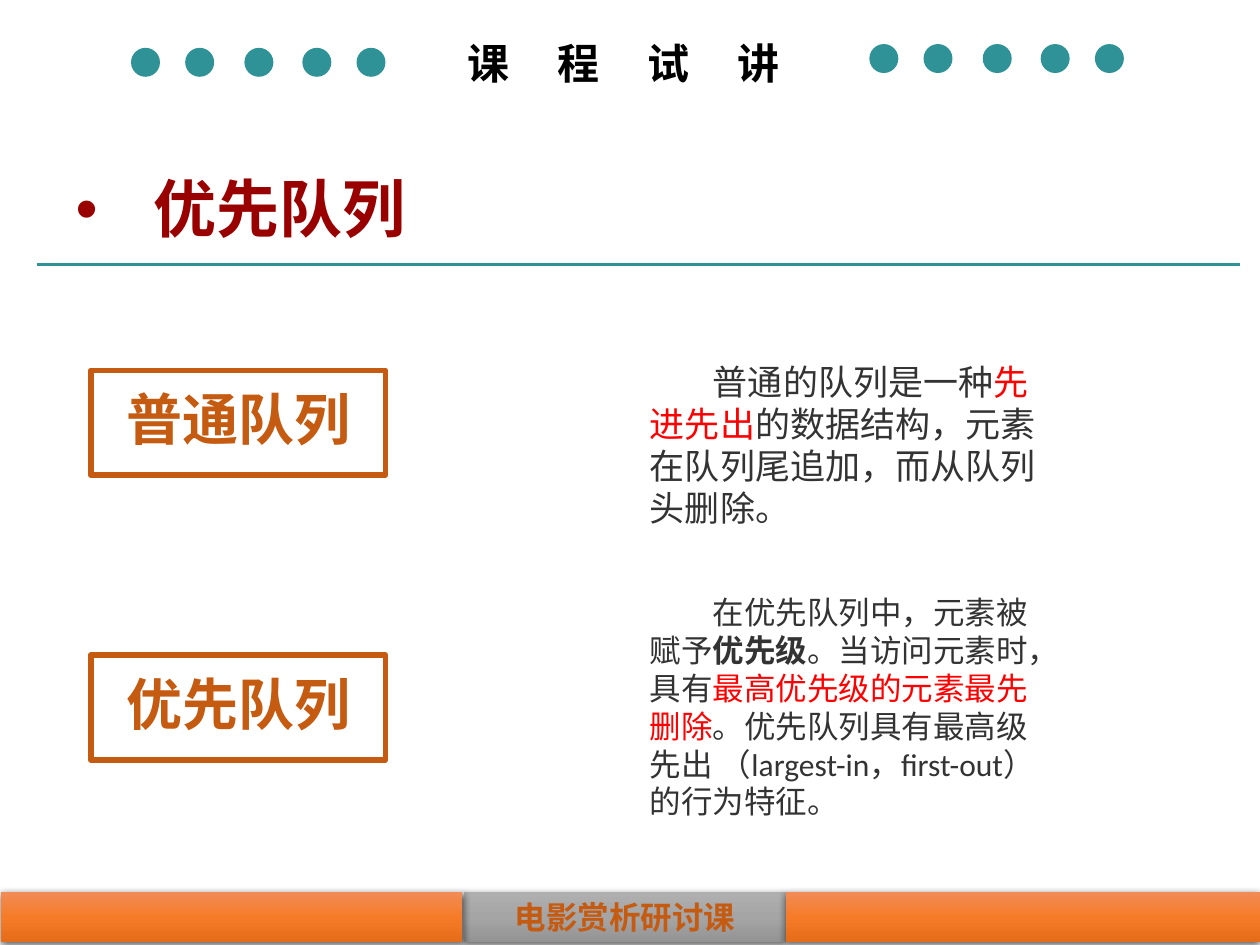
from copy import deepcopy

from lxml import etree
from pptx import Presentation
from pptx import oxml
from pptx.dml.color import RGBColor
from pptx.enum import shapes, text
from pptx.oxml import ns
from pptx.util import Inches, Pt

TEAL = RGBColor(0x2F, 0x92, 0x96)
DARK_RED = RGBColor(0x99, 0x00, 0x00)
RED = RGBColor(0xFF, 0x00, 0x00)
RUST = RGBColor(0xC5, 0x5A, 0x11)
BLACK = RGBColor(0x00, 0x00, 0x00)
INK = RGBColor(0x33, 0x33, 0x33)
GREYS = [RGBColor(0xAF, 0xAF, 0xAF), RGBColor(0xA5, 0xA5, 0xA5), RGBColor(0x93, 0x93, 0x93)]
ORANGES = [RGBColor(0xF1, 0x8C, 0x57), RGBColor(0xF6, 0x7B, 0x28), RGBColor(0xE5, 0x6C, 0x19)]
LATIN = "Calibri"
CHINESE = "Noto Sans CJK SC"
DOT_OFFSETS = (0, 0.43, 0.9, 1.36, 1.79)
SHADOW = (
    '<a:outerShdw %s blurRad="57150" dist="19050" dir="5400000" algn="ctr" rotWithShape="0">'
    '<a:srgbClr val="000000"><a:alpha val="63000"/></a:srgbClr></a:outerShdw>' % ns.nsdecls("a")
)


def add_run(paragraph, words, size, color, bold=False, font=LATIN):
    """Add one formatted run to a paragraph and return it."""
    run = paragraph.add_run()
    run.text = words
    run.font.size = Pt(size)
    run.font.bold = bold
    run.font.name = font
    run.font.color.rgb = color
    east_asian = etree.SubElement(run.font._element, ns.qn("a:ea"))
    east_asian.set("typeface", CHINESE)
    return run


def add_plain_shape(parent, kind, left, top, width, height):
    """Add a preset shape without line or inherited shadow."""
    shape = parent.add_shape(kind, Inches(left), Inches(top), Inches(width), Inches(height))
    shape.shadow.inherit = False
    shape.line.fill.background()
    return shape


def add_text_box(parent, left, top, width, height):
    """Add a wrapping text box and return its first paragraph."""
    box = parent.add_textbox(Inches(left), Inches(top), Inches(width), Inches(height))
    box.text_frame.word_wrap = True
    return box.text_frame.paragraphs[0]


def add_title(slide, left, top, width, height):
    """Place the bulleted title and the rule beneath it."""
    title = slide.shapes.title
    title.left, title.top = Inches(left), Inches(top)
    title.width, title.height = Inches(width), Inches(height)
    title.text_frame.auto_size = text.MSO_AUTO_SIZE.NONE
    title.text_frame.vertical_anchor = text.MSO_ANCHOR.MIDDLE
    paragraph = title.text_frame.paragraphs[0]
    paragraph.alignment = text.PP_ALIGN.LEFT
    paragraph.line_spacing = 0.9
    add_run(paragraph, "优先队列", 36, DARK_RED, True)
    properties = paragraph._p.get_or_add_pPr()
    properties.set("marL", str(Inches(0.62)))
    properties.set("indent", str(Inches(-0.62)))
    etree.SubElement(properties, ns.qn("a:buFont")).set("typeface", "Arial")
    etree.SubElement(properties, ns.qn("a:buChar")).set("char", "•")
    bottom = Inches(top + height)
    rule = slide.shapes.add_connector(
        shapes.MSO_CONNECTOR.STRAIGHT, Inches(left - 0.21), bottom, Inches(left + 9.34), bottom
    )
    rule.line.color.rgb = TEAL
    rule.line.width = Pt(2)
    etree.SubElement(rule._element.spPr, ns.qn("a:effectLst"))


def add_header(slide, left, top):
    """Place the spaced heading between two rows of dots."""
    group = slide.shapes.add_group_shape()
    for row_left, row_top in ((left, top + 0.13), (left + 5.86, top + 0.1)):
        for offset in DOT_OFFSETS:
            dot = add_plain_shape(
                group.shapes, shapes.MSO_SHAPE.OVAL, row_left + offset, row_top, 0.23, 0.23
            )
            dot.fill.solid()
            dot.fill.fore_color.rgb = TEAL
    paragraph = add_text_box(group.shapes, left + 1.77, top, 4.28, 0.5)
    paragraph.alignment = text.PP_ALIGN.CENTER
    spaced = add_run(paragraph, "课程试", 24, BLACK, True, CHINESE)
    spaced.font._element.set("spc", "2740")
    add_run(paragraph, "讲", 24, BLACK, True, CHINESE)


def add_bar(group, left, top, width, height, colors):
    """Add one shaded footer segment with a soft shadow."""
    bar = add_plain_shape(group.shapes, shapes.MSO_SHAPE.RECTANGLE, left, top, width, height)
    bar.fill.gradient()
    bar.fill.gradient_angle = 270
    stops = bar._element.spPr.find(".//" + ns.qn("a:gsLst"))
    stops.insert(1, deepcopy(stops[0]))
    for stop, position, color in zip(bar.fill.gradient_stops, (0, 0.5, 1), colors):
        stop.position = position
        stop.color.rgb = color
    bar._element.spPr.find(ns.qn("a:effectLst")).append(oxml.parse_xml(SHADOW))
    return bar


def add_footer(slide, left, top, height):
    """Place the three-part footer with its course name."""
    group = slide.shapes.add_group_shape()
    middle = add_bar(group, left + 3.67, top, 2.56, height, GREYS)
    add_bar(group, left + 6.23, top, 3.76, height, ORANGES)
    add_bar(group, left, top, 3.66, height, ORANGES)
    middle.text_frame.vertical_anchor = text.MSO_ANCHOR.TOP
    paragraph = middle.text_frame.paragraphs[0]
    paragraph.alignment = text.PP_ALIGN.CENTER
    add_run(paragraph, "电影赏析研讨课", 18, RUST, True, CHINESE)


def add_label(slide, left, top, words):
    """Place an outlined queue name."""
    label = add_plain_shape(slide.shapes, shapes.MSO_SHAPE.RECTANGLE, left, top, 2.34, 0.83)
    label.fill.background()
    label.line.color.rgb = RUST
    label.line.width = Pt(3.25)
    label.text_frame.vertical_anchor = text.MSO_ANCHOR.MIDDLE
    paragraph = label.text_frame.paragraphs[0]
    paragraph.alignment = text.PP_ALIGN.CENTER
    paragraph.line_spacing = 0.9
    add_run(paragraph, words, 32, RUST, True, CHINESE)


def add_description(slide, left, top, height, size, parts):
    """Place a paragraph with an indented first line."""
    paragraph = add_text_box(slide.shapes, left, top, 3.42, height)
    paragraph._p.get_or_add_pPr().set("indent", str(Inches(0.5)))
    for words, color, bold in parts:
        add_run(paragraph, words, size, color, bold)


def build_slide(presentation):
    """Build the queue comparison slide."""
    slide = presentation.slides.add_slide(presentation.slide_layouts[5])
    add_title(slide, 0.5, 1.27, 9, 0.83)
    add_header(slide, 1.04, 0.25)
    add_footer(slide, 0.01, 7.08, 0.4)
    add_description(slide, 5.06, 2.81, 1.45, 20, [
        ("普通的队列是一种", INK, False),
        ("先进先出", RED, False),
        ("的数据结构，元素在队列尾追加，而从队列头删除。", INK, False),
    ])
    add_description(slide, 5.06, 4.66, 1.92, 18, [
        ("在优先队列中，元素被赋予", INK, False),
        ("优先级", INK, True),
        ("。当访问元素时，具有", INK, False),
        ("最高优先级的元素最先删除", RED, False),
        ("。优先队列具有最高级先出 （largest-in，first-out）的行为特征。", INK, False),
    ])
    add_label(slide, 0.72, 2.94, "普通队列")
    add_label(slide, 0.72, 5.2, "优先队列")


presentation = Presentation()
presentation.slide_width = Inches(10)
presentation.slide_height = Inches(7.5)
build_slide(presentation)
presentation.save("out.pptx")
